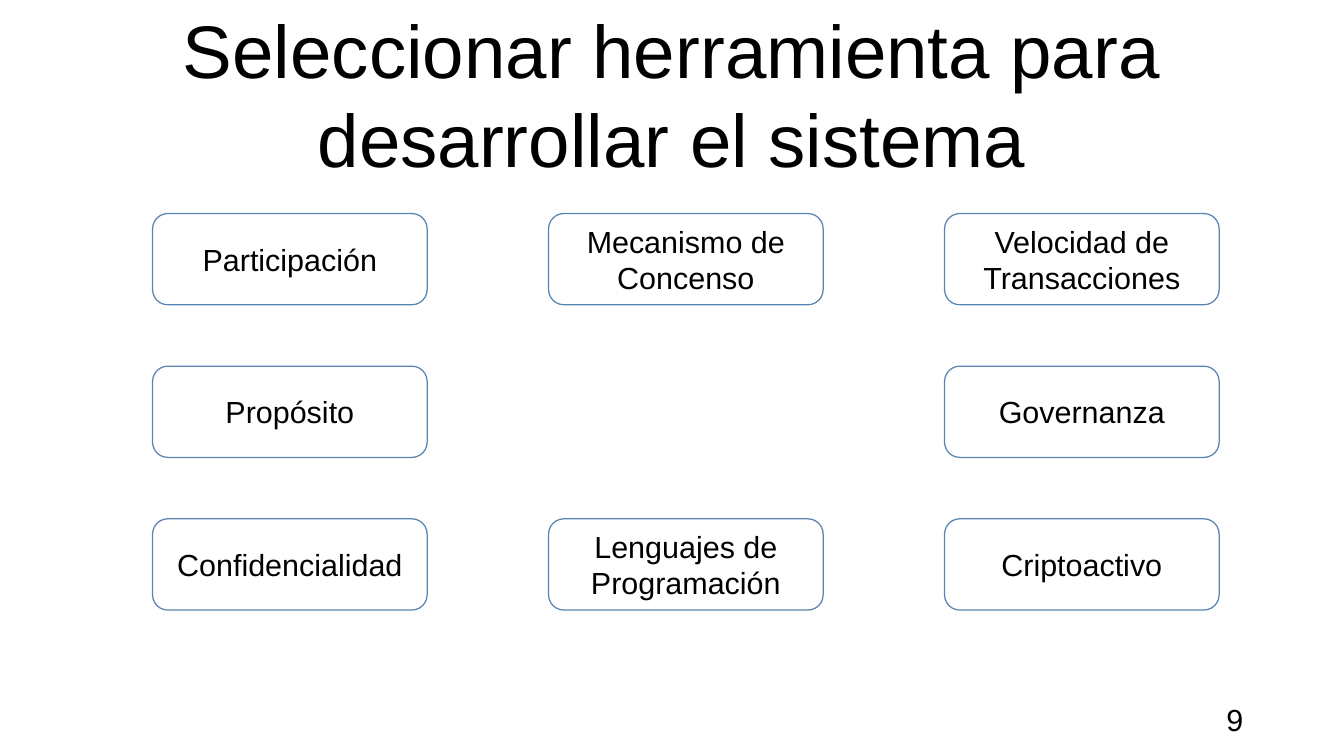
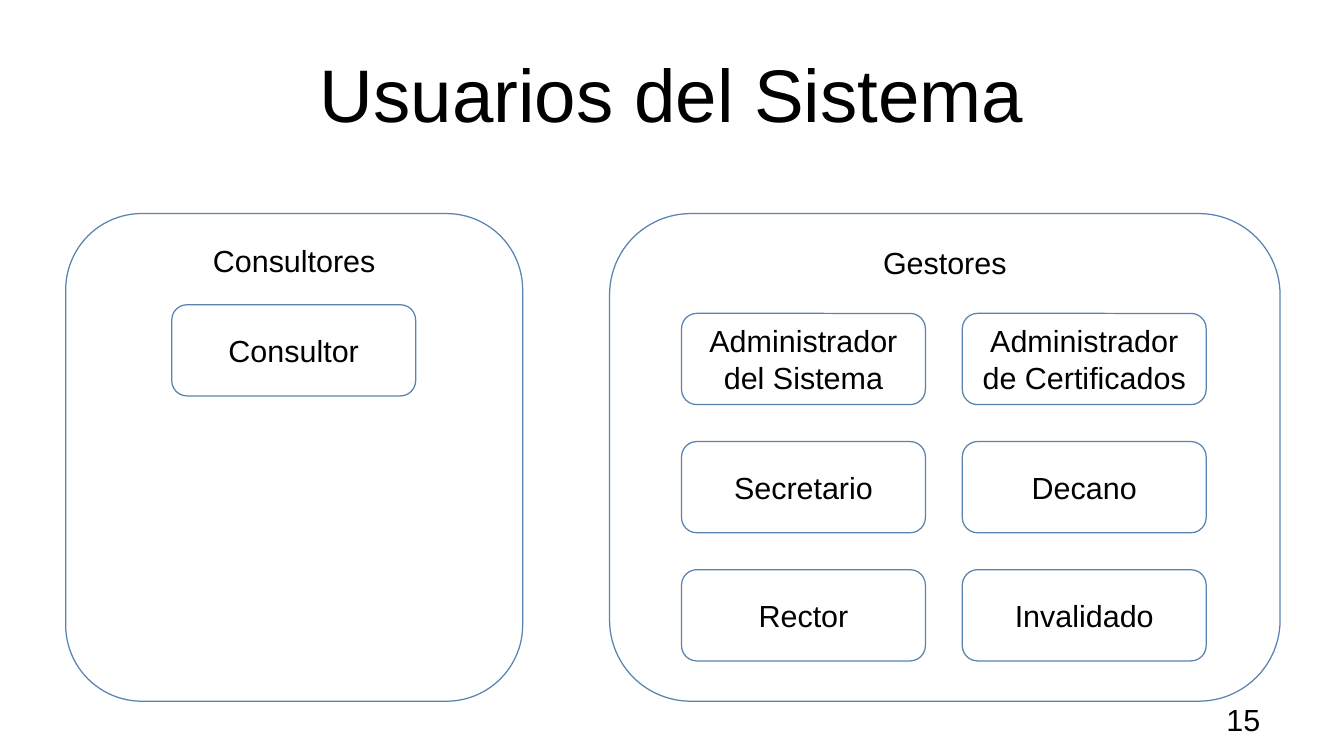
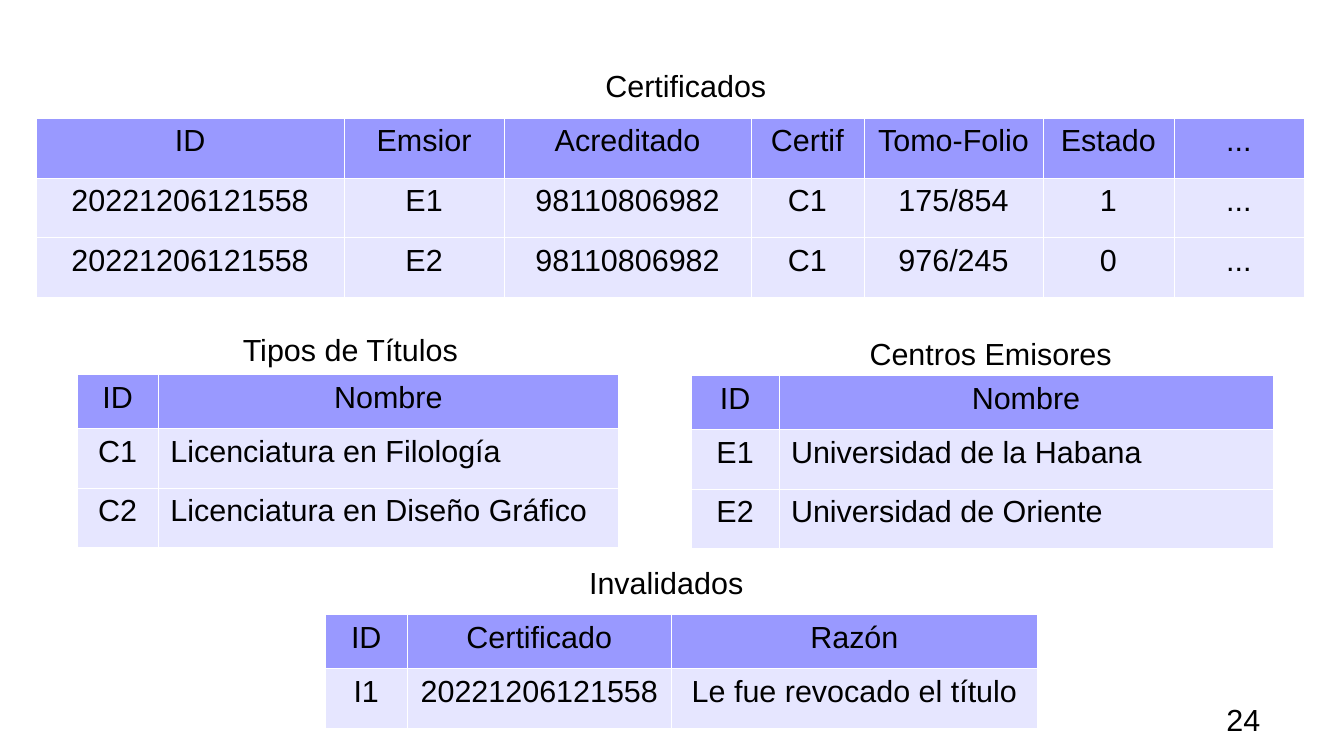
from lxml import etree
from pptx import Presentation
from pptx.dml.color import RGBColor
from pptx.enum.shapes import MSO_SHAPE
from pptx.enum.text import MSO_ANCHOR, PP_ALIGN
from pptx.oxml.ns import qn
from pptx.util import Cm, Pt

ROUNDED = MSO_SHAPE.ROUNDED_RECTANGLE
TOP, MIDDLE = MSO_ANCHOR.TOP, MSO_ANCHOR.MIDDLE
LEFT, CENTER = PP_ALIGN.LEFT, PP_ALIGN.CENTER

FONT = "Arial"
BLACK, WHITE, BLUE = "000000", "FFFFFF", "5983B0"
HEADER_FILL, BODY_FILL = "9999FF", "E6E6FF"
BODY_SIZE, TITLE_SIZE = 18, 44
INSET_X, INSET_Y = 0.25, 0.13
BOX_H = 1.9

TOOL_TITLE = "Seleccionar herramienta para desarrollar el sistema"
CRITERIA = [
    ["Participación", "Mecanismo de Concenso", "Velocidad de Transacciones"],
    ["Propósito", None, "Governanza"],
    ["Confidencialidad", "Lenguajes de Programación", "Criptoactivo"],
]

USERS_TITLE = "Usuarios del Sistema"
USER_GROUPS = [
    {"name": "Consultores", "panel": (1.37, 4.45, 9.52, 10.16),
     "start": (3.58, 6.35), "roles": [["Consultor"]]},
    {"name": "Gestores", "panel": (12.7, 4.45, 13.97, 10.16),
     "start": (14.2, 6.53), "roles": [
         ["Administrador del Sistema", "Administrador de Certificados"],
         ["Secretario", "Decano"],
         ["Rector", "Invalidado"]]},
]

RECORDS = [
    {"caption": "Certificados", "caption_at": (10.8, 1.27), "at": (0.76, 2.46),
     "columns": [6.4, 3.35, 5.13, 2.36, 3.73, 2.72, 2.72], "header_h": 1.24,
     "left_columns": [], "space_after": 2.9,
     "rows": [
         ["ID", "Emsior", "Acreditado", "Certif", "Tomo-Folio", "Estado", "..."],
         ["20221206121558", "E1", "98110806982", "C1", "175/854", "1", "..."],
         ["20221206121558", "E2", "98110806982", "C1", "976/245", "0", "..."]]},
    {"caption": "Tipos de Títulos", "caption_at": (3.81, 6.76), "at": (1.6, 7.8),
     "columns": [1.7, 9.58], "header_h": 1.12, "left_columns": [1], "space_after": 0,
     "rows": [
         ["ID", "Nombre"],
         ["C1", "Licenciatura en Filología"],
         ["C2", "Licenciatura en Diseño Gráfico"]]},
    {"caption": "Centros Emisores", "caption_at": (17.15, 6.86), "at": (14.4, 7.82),
     "columns": [1.83, 10.29], "header_h": 1.12, "left_columns": [1], "space_after": 0,
     "rows": [
         ["ID", "Nombre"],
         ["E1", "Universidad de la Habana"],
         ["E2", "Universidad de Oriente"]]},
    {"caption": "Invalidados", "caption_at": (10.39, 11.63), "at": (6.78, 12.8),
     "columns": [1.7, 5.51, 7.62], "header_h": 1.12, "left_columns": [], "space_after": 0,
     "rows": [
         ["ID", "Certificado", "Razón"],
         ["I1", "20221206121558", "Le fue revocado el título"]]},
]
ROW_H = 1.24


def rgb(value):
    return RGBColor.from_string(value)


def set_text(frame, text, size=BODY_SIZE, align=CENTER, space_after=0):
    frame.text = text
    paragraph = frame.paragraphs[0]
    paragraph.alignment = align
    paragraph.space_after = Pt(space_after)
    font = paragraph.runs[0].font
    font.name = FONT
    font.size = Pt(size)
    font.color.rgb = rgb(BLACK)


def set_frame(frame, anchor, inset_x=INSET_X, inset_y=INSET_Y):
    frame.word_wrap = True
    frame.vertical_anchor = anchor
    frame.margin_left = frame.margin_right = Cm(inset_x)
    frame.margin_top = frame.margin_bottom = Cm(inset_y)


def add_label(slide, text, x, y, w, h, align=CENTER):
    label = slide.shapes.add_textbox(Cm(x), Cm(y), Cm(w), Cm(h))
    set_frame(label.text_frame, TOP)
    set_text(label.text_frame, text, align=align)


def add_title(slide, text):
    title = slide.shapes.add_textbox(Cm(1.4), Cm(0.2), Cm(25.2), Cm(3.48))
    set_frame(title.text_frame, MIDDLE, 0, 0)
    set_text(title.text_frame, text, TITLE_SIZE)


def add_rounded(slide, text, x, y, w, h, anchor=MIDDLE):
    box = slide.shapes.add_shape(ROUNDED, Cm(x), Cm(y), Cm(w), Cm(h))
    box.shadow.inherit = False
    box.fill.solid()
    box.fill.fore_color.rgb = rgb(WHITE)
    box.line.color.rgb = rgb(BLUE)
    box.line.width = Pt(0)
    set_frame(box.text_frame, anchor)
    set_text(box.text_frame, text)


def add_grid(slide, rows, start, box_w, pitch):
    for row, names in enumerate(rows):
        for column, name in enumerate(names):
            if name:
                add_rounded(slide, name, start[0] + column * pitch[0],
                            start[1] + row * pitch[1], box_w, BOX_H)


def add_borders(cell):
    properties = cell._tc.get_or_add_tcPr()
    for side in ("a:lnL", "a:lnR", "a:lnT", "a:lnB"):
        border = etree.SubElement(properties, qn(side), w="720")
        fill = etree.SubElement(border, qn("a:solidFill"))
        etree.SubElement(fill, qn("a:srgbClr"), val=WHITE)


def add_record_table(slide, record):
    rows, columns = record["rows"], record["columns"]
    heights = [record["header_h"]] + [ROW_H] * (len(rows) - 1)
    x, y = record["at"]
    table = slide.shapes.add_table(len(rows), len(columns), Cm(x), Cm(y),
                                   Cm(sum(columns)), Cm(sum(heights))).table
    table.first_row = table.horz_banding = False
    for column, width in zip(table.columns, columns):
        column.width = Cm(width)
    for r, values in enumerate(rows):
        table.rows[r].height = Cm(heights[r])
        for c, value in enumerate(values):
            cell = table.cell(r, c)
            add_borders(cell)
            cell.fill.solid()
            cell.fill.fore_color.rgb = rgb(BODY_FILL if r else HEADER_FILL)
            cell.margin_left = cell.margin_right = Cm(INSET_X)
            cell.margin_top = cell.margin_bottom = Cm(INSET_Y)
            align = LEFT if r and c in record["left_columns"] else CENTER
            set_text(cell.text_frame, value, align=align,
                     space_after=record["space_after"])


def new_slide(deck, number):
    slide = deck.slides.add_slide(deck.slide_layouts[6])
    add_label(slide, number, 25.3, 14.48, 2.6, 1.27, LEFT)
    return slide


def build_tools(deck):
    slide = new_slide(deck, "9")
    add_title(slide, TOOL_TITLE)
    add_grid(slide, CRITERIA, (3.18, 4.45), 5.72, (8.25, 3.18))


def build_users(deck):
    slide = new_slide(deck, "15")
    add_title(slide, USERS_TITLE)
    for group in USER_GROUPS:
        add_rounded(slide, group["name"], *group["panel"], anchor=TOP)
        add_grid(slide, group["roles"], group["start"], 5.08, (5.85, 2.67))


def build_records(deck):
    slide = new_slide(deck, "24")
    for record in RECORDS:
        add_label(slide, record["caption"], *record["caption_at"], 6.98, 0.97)
        add_record_table(slide, record)


def main():
    deck = Presentation()
    deck.slide_width, deck.slide_height = Cm(28), Cm(15.75)
    build_tools(deck)
    build_users(deck)
    build_records(deck)
    deck.save("out.pptx")


if __name__ == "__main__":
    main()
